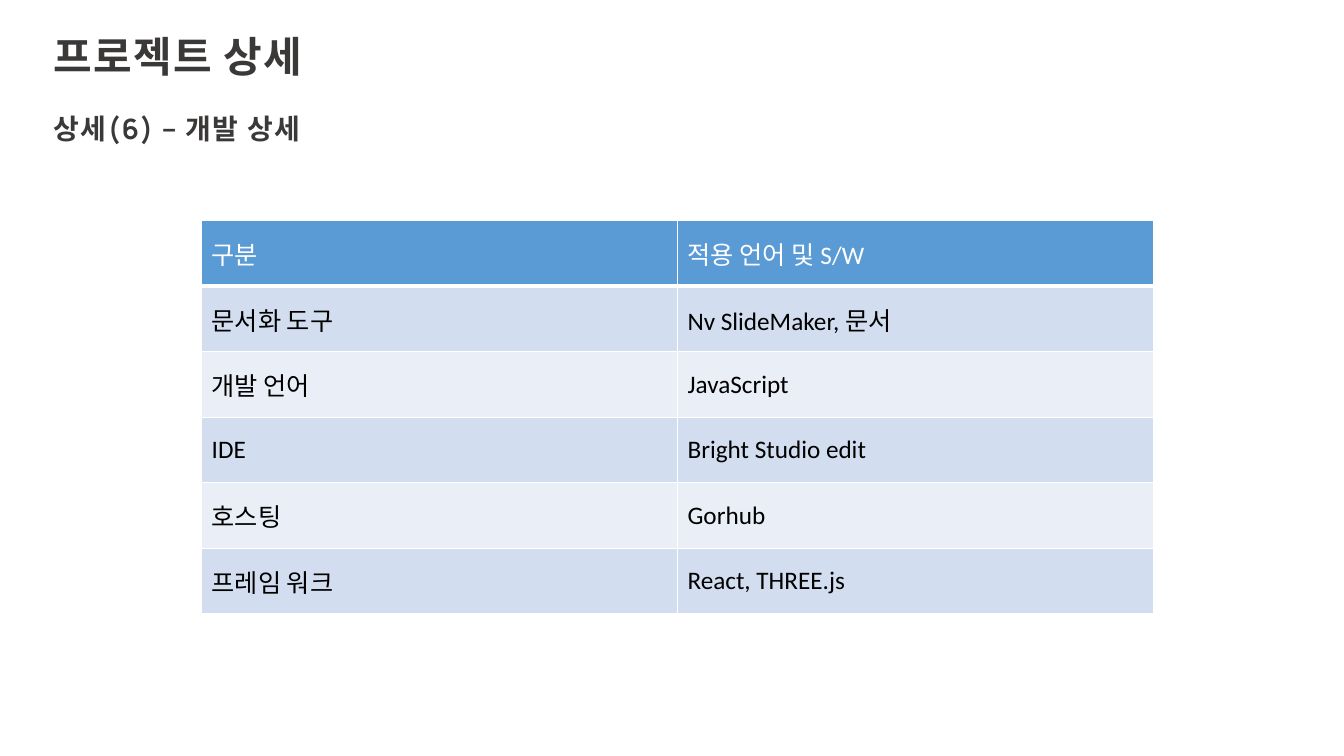
from pptx import Presentation
from pptx.dml.color import RGBColor
from pptx.enum.text import MSO_ANCHOR
from pptx.oxml.ns import qn
from pptx.util import Inches, Pt
from lxml.etree import SubElement

HEADS = [("프로젝트 상세", 30, 0), ("상세(6) – 개발 상세", 20, 24)]
ROWS = [
    ("구분", "적용 언어 및 S/W"),
    ("문서화 도구", "Nv SlideMaker, 문서"),
    ("개발 언어", "JavaScript"),
    ("IDE", "Bright Studio edit"),
    ("호스팅", "Gorhub"),
    ("프레임 워크", "React, THREE.js"),
]
COLORS = {"title": "3B3838", "head": "5B9BD5", "odd": "D2DEEF",
          "even": "EAEFF7", "white": "FFFFFF", "text": "000000"}
COL, ROW = 4.72, 0.65


def add_run(para, text, size, face, color, bold=False):
    run = para.add_run()
    run.text = text
    font = run.font
    font.size, font.name, font.bold = Pt(size), face, bold
    font.color.rgb = RGBColor.from_string(COLORS[color])
    return run


def add_edges(cell, head):
    props = cell._tc.get_or_add_tcPr()
    for side in "LRTB":
        width = Pt(3 if head and side == "B" else 1)
        line = SubElement(props, qn(f"a:ln{side}"), w=str(width))
        fill = SubElement(line, qn("a:solidFill"))
        SubElement(fill, qn("a:srgbClr"), val=COLORS["white"])


def add_title(slide):
    box = slide.shapes.add_textbox(Inches(0.43), Inches(0.32), Inches(4.53), Inches(1.16))
    frame = box.text_frame
    frame.word_wrap = True
    frame.vertical_anchor = MSO_ANCHOR.MIDDLE
    for i, (text, size, gap) in enumerate(HEADS):
        para = frame.add_paragraph() if i else frame.paragraphs[0]
        para.line_spacing = 0.9
        para.space_before = Pt(gap)
        run = add_run(para, text, size, "Manrope", "title", True)
        run.font._element.set("spc", "100")


def add_grid(slide):
    count = len(ROWS)
    table = slide.shapes.add_table(count, 2, Inches(2), Inches(2.19),
                                   Inches(2 * COL), Inches(count * ROW)).table
    for col in table.columns:
        col.width = Inches(COL)
    for r, texts in enumerate(ROWS):
        table.rows[r].height = Inches(ROW)
        shade = "head" if r == 0 else "odd" if r % 2 else "even"
        for c, text in enumerate(texts):
            cell = table.cell(r, c)
            cell.vertical_anchor = MSO_ANCHOR.MIDDLE
            add_edges(cell, r == 0)
            cell.fill.solid()
            cell.fill.fore_color.rgb = RGBColor.from_string(COLORS[shade])
            add_run(cell.text_frame.paragraphs[0], text, 18, "Calibri",
                    "text" if r else "white")


def main():
    """Build the project detail slide with its tool table."""
    deck = Presentation()
    deck.slide_width, deck.slide_height = Inches(13.33), Inches(7.5)
    slide = deck.slides.add_slide(deck.slide_layouts[6])
    add_title(slide)
    add_grid(slide)
    deck.save("out.pptx")


if __name__ == "__main__":
    main()
